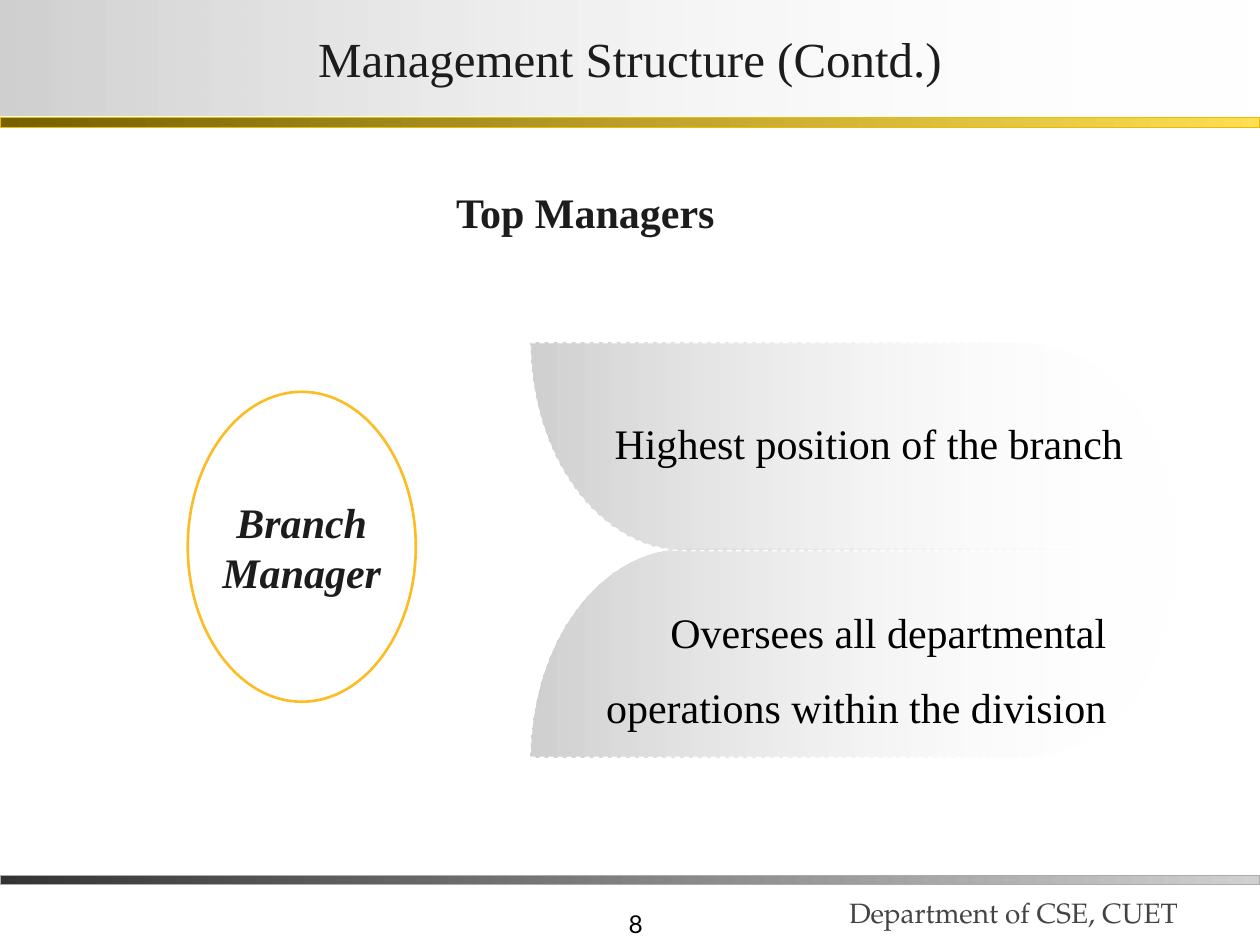
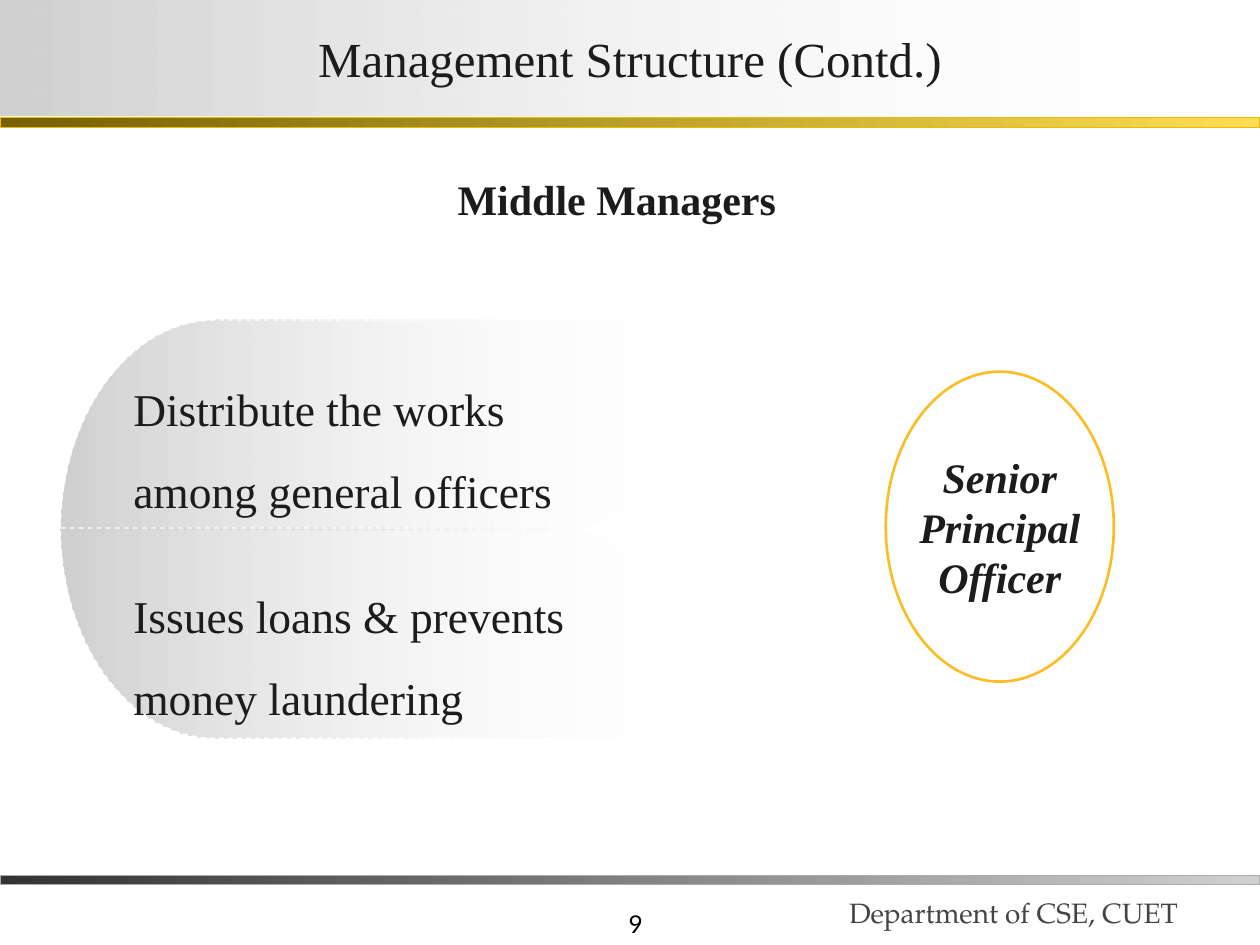
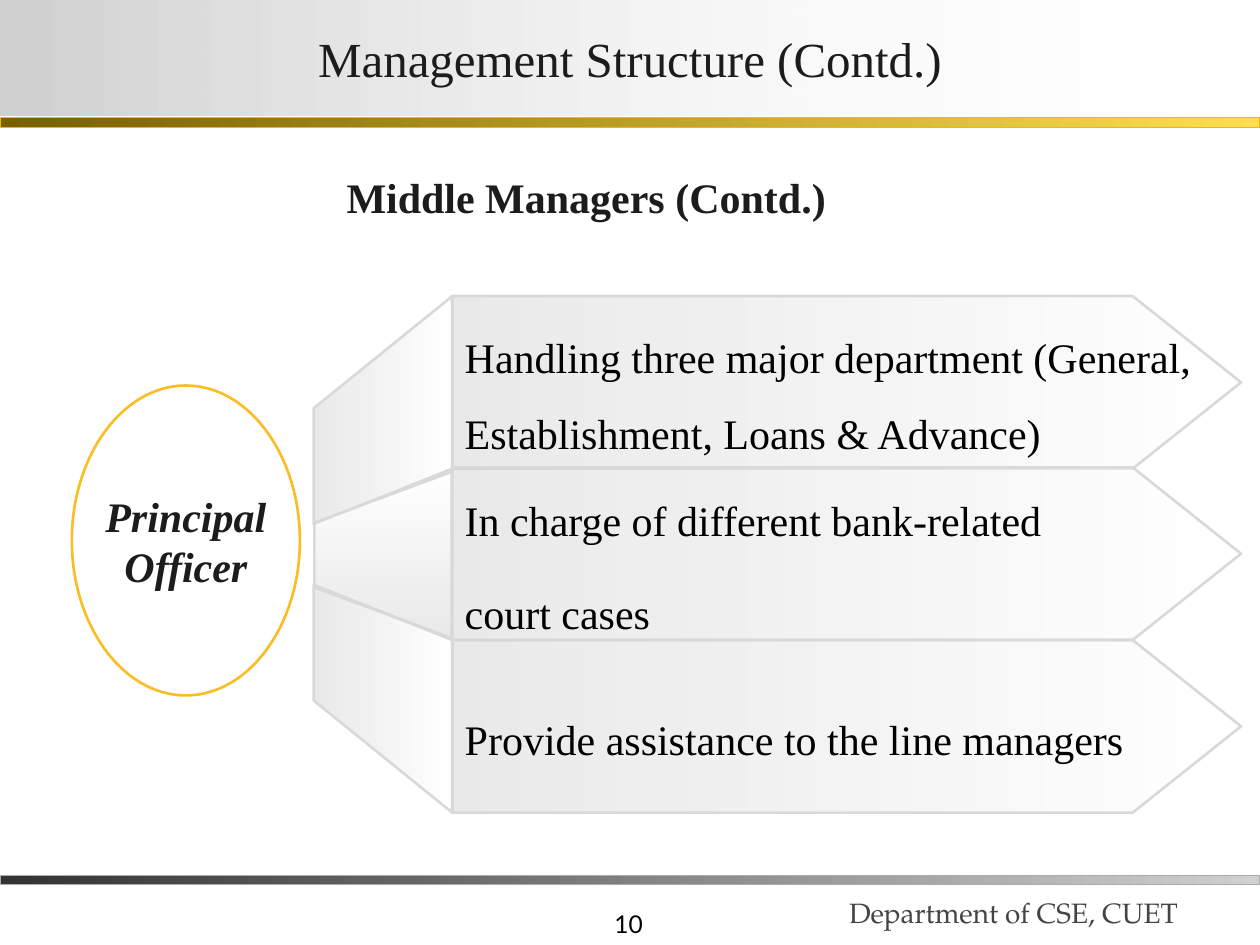
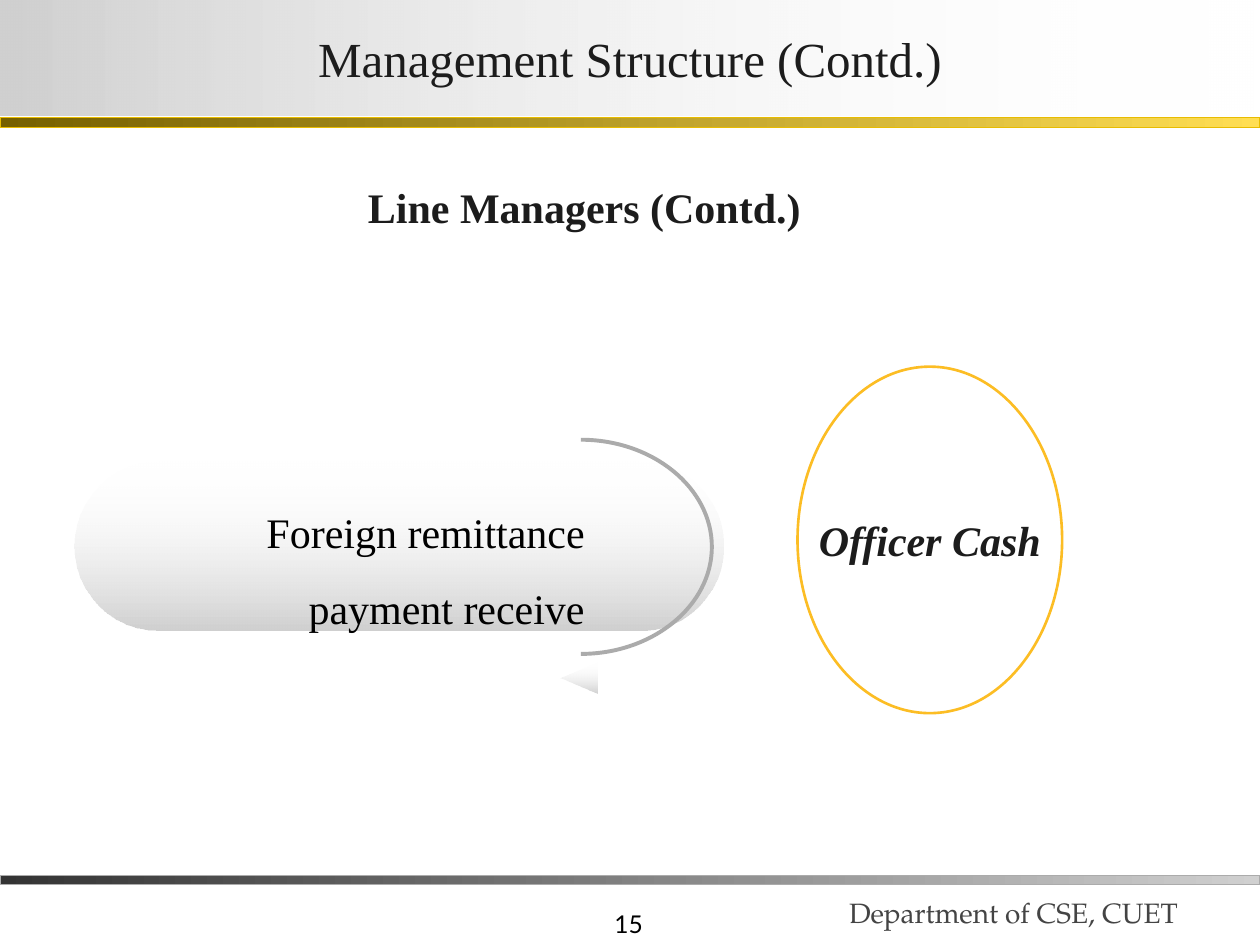
from dataclasses import dataclass, replace
from typing import Any, NamedTuple

from lxml import etree
from pptx import Presentation
from pptx.dml.color import RGBColor
from pptx.enum.dml import MSO_LINE
from pptx.enum.shapes import MSO_SHAPE
from pptx.enum.text import MSO_ANCHOR, PP_ALIGN
from pptx.oxml.ns import qn
from pptx.util import Emu, Pt

PX = 9144  # 100 px to the inch
LEFT, CENTER, RIGHT, JUSTIFY = PP_ALIGN.LEFT, PP_ALIGN.CENTER, PP_ALIGN.RIGHT, PP_ALIGN.JUSTIFY
TOP, MIDDLE, BOTTOM = MSO_ANCHOR.TOP, MSO_ANCHOR.MIDDLE, MSO_ANCHOR.BOTTOM
RECTANGLE, PILL = MSO_SHAPE.RECTANGLE, MSO_SHAPE.ROUNDED_RECTANGLE
TRIANGLE, TRAPEZOID = MSO_SHAPE.ISOSCELES_TRIANGLE, MSO_SHAPE.TRAPEZOID
DASH = MSO_LINE.DASH
TITLE_ONLY = 5
QUARTER = 0.55  # handle length of a quarter ellipse
STRAIGHT, ACROSS, UPRIGHT = "straight", "across", "upright"


class Box(NamedTuple):
    left: int
    top: int
    width: int
    height: int

    @property
    def right(self) -> int:
        return self.left + self.width

    @property
    def bottom(self) -> int:
        return self.top + self.height

    def emu(self) -> list[Emu]:
        return [Emu(value * PX) for value in self]


class Knot(NamedTuple):
    """Corner of an outline; way tells how the segment into it sets off."""
    x: float
    y: float
    way: str = STRAIGHT


class Gradient(NamedTuple):
    start: str
    end: str
    start_alpha: int = 100
    end_alpha: int = 100


class Outline(NamedTuple):
    color: str
    width: float
    dash: Any = None


@dataclass(frozen=True)
class TextStyle:
    size: int
    color: str
    font: str = "Times New Roman"
    bold: bool = False
    italic: bool = False
    align: Any = LEFT
    spacing: float = 1.0
    before: int = 0
    after: int = 0
    anchor: Any = TOP
    insets: tuple[int, int, int, int] = (10, 10, 10, 10)


@dataclass(frozen=True)
class Theme:
    white: str = "FFFFFF"
    ink: str = "1C1C1C"
    fade: Gradient = Gradient("D0D0D0", "FFFFFF", 100, 0)
    veil: Gradient = Gradient("D0D0D0", "FFFFFF", 46, 46)
    gold: Gradient = Gradient("766000", "FFDE53")
    steel: Gradient = Gradient("333333", "D0D0D0")
    gold_edge: Outline = Outline("E8BC00", 0.75)
    steel_edge: Outline = Outline("ABABAB", 0.75)
    role_edge: Outline = Outline("FCBD24", 1.5)
    leaf_edge: Outline = Outline("FFFFFF", 0.75, DASH)
    panel_edge: Outline = Outline("D9D9D9", 1.5)
    arc_edge: Outline = Outline("ABABAB", 2.25)
    title: TextStyle = TextStyle(28, "1C1C1C", align=CENTER, anchor=MIDDLE, insets=(2, 1, 2, 1))
    heading: TextStyle = TextStyle(24, "1C1C1C", bold=True, spacing=1.3, insets=(19, 10, 10, 10))
    role: TextStyle = TextStyle(24, "1C1C1C", bold=True, italic=True, align=CENTER, anchor=MIDDLE)
    duty: TextStyle = TextStyle(24, "000000", spacing=1.5)
    number: TextStyle = TextStyle(14, "000000", "Lato", align=RIGHT, anchor=BOTTOM,
                                  insets=(10, 5, 10, 5))
    footer: TextStyle = TextStyle(16, "444444", "TeX Gyre Pagella", anchor=BOTTOM,
                                  insets=(10, 5, 10, 5))


THEME = Theme()


# Formatting

def assign(target: Any, values: dict[str, Any]) -> None:
    for name, value in values.items():
        setattr(target, name, value)


def paint(shape: Any, fill: Gradient | str | None, outline: Outline | None) -> None:
    if isinstance(fill, Gradient):
        shape.fill.gradient()
        shape.fill.gradient_angle = 0
        for stop, color in zip(shape.fill.gradient_stops, fill[:2]):
            stop.color.rgb = RGBColor.from_string(color)
        colors = shape._element.spPr.find(qn("a:gradFill")).iter(qn("a:srgbClr"))
        for node, alpha in zip(list(colors), fill[2:]):
            if alpha < 100:
                etree.SubElement(node, qn("a:alpha")).set("val", str(alpha * 1000))
    elif fill:
        shape.fill.solid()
        shape.fill.fore_color.rgb = RGBColor.from_string(fill)
    else:
        shape.fill.background()
    if outline:
        shape.line.color.rgb = RGBColor.from_string(outline.color)
        assign(shape.line, {"width": Pt(outline.width), "dash_style": outline.dash})
    else:
        shape.line.fill.background()


def write(shape: Any, style: TextStyle, *lines: str) -> None:
    frame = shape.text_frame
    margins = ("margin_left", "margin_top", "margin_right", "margin_bottom")
    assign(frame, {"word_wrap": True, "vertical_anchor": style.anchor,
                   **{name: Emu(value * PX) for name, value in zip(margins, style.insets)}})
    for index, line in enumerate(lines):
        para = frame.add_paragraph() if index else frame.paragraphs[0]
        # Extra gaps belong between paragraphs only
        assign(para, {"alignment": style.align, "line_spacing": style.spacing,
                      "space_before": Pt(style.before if index else 0),
                      "space_after": Pt(style.after if index else 0)})
        span = para.add_run()
        span.text = line
        assign(span.font, {"name": style.font, "size": Pt(style.size),
                           "bold": style.bold, "italic": style.italic})
        span.font.color.rgb = RGBColor.from_string(style.color)


# Drawing

def add_text(page: Any, box: Box, style: TextStyle, *lines: str) -> Any:
    shape = page.shapes.add_textbox(*box.emu())
    write(shape, style, *lines)
    return shape


def add_preset(page: Any, kind: Any, box: Box, fill: Gradient, outline: Outline | None = None,
               rotation: int = 0, adjust: float | None = None) -> Any:
    shape = page.shapes.add_shape(kind, *box.emu())
    shape.shadow.inherit = False
    shape.rotation = rotation
    if adjust is not None:
        shape.adjustments[0] = adjust
    paint(shape, fill, outline)
    return shape


def bend(shape: Any, knots: list[Knot]) -> None:
    """Turn the marked straight segments into quarter ellipses."""
    points = list(shape._element.iter(qn("a:pt")))
    places = [(int(point.get("x")), int(point.get("y"))) for point in points]
    for index, knot in enumerate(knots):
        if knot.way == STRAIGHT:
            continue
        (x1, y1), (x2, y2) = places[index - 1], places[index]
        reach_x, reach_y = QUARTER * (x2 - x1), QUARTER * (y2 - y1)
        if knot.way == ACROSS:
            handles = [(x1 + reach_x, y1), (x2, y2 - reach_y)]
        else:
            handles = [(x1, y1 + reach_y), (x2 - reach_x, y2)]
        segment = points[index].getparent()
        curve = etree.Element(qn("a:cubicBezTo"))
        for x, y in [*handles, (x2, y2)]:
            etree.SubElement(curve, qn("a:pt"), x=str(round(x)), y=str(round(y)))
        segment.getparent().replace(segment, curve)


def add_outline(page: Any, knots: list[Knot], fill: Gradient | str | None,
                outline: Outline, closed: bool = True) -> Any:
    scaled = [(knot.x * PX, knot.y * PX) for knot in knots]
    builder = page.shapes.build_freeform(*scaled[0])
    builder.add_line_segments(scaled[1:], close=closed)
    shape = builder.convert_to_shape()
    bend(shape, knots)
    shape.shadow.inherit = False
    paint(shape, fill, outline)
    return shape


def add_role(page: Any, box: Box, name: str) -> None:
    middle_x, middle_y = box.left + box.width / 2, box.top + box.height / 2
    ring = [Knot(middle_x, box.top), Knot(box.left, middle_y, ACROSS),
            Knot(middle_x, box.bottom, UPRIGHT), Knot(box.right, middle_y, ACROSS),
            Knot(middle_x, box.top, UPRIGHT)]
    write(add_outline(page, ring, THEME.white, THEME.role_edge), THEME.role, name)


def add_leaf(page: Any, box: Box, flipped: bool) -> None:
    """Panel with two opposite corners rounded; flipped swaps top and bottom."""
    curve = 123
    top, bottom = (box.bottom, box.top) if flipped else (box.top, box.bottom)
    knots = [Knot(box.left, bottom), Knot(box.right - curve, bottom),
             Knot(box.right, top, ACROSS), Knot(box.left + curve, top),
             Knot(box.left, bottom, ACROSS)]
    add_outline(page, knots, THEME.fade, THEME.leaf_edge)


def add_arrow_panel(page: Any, box: Box, style: TextStyle, *lines: str) -> None:
    shoulder = box.right - 86
    knots = [Knot(box.left, box.top), Knot(box.left, box.bottom), Knot(shoulder, box.bottom),
             Knot(box.right, box.top + box.height / 2), Knot(shoulder, box.top)]
    write(add_outline(page, knots, THEME.veil, THEME.panel_edge), style, *lines)


# Shared frame: bands and footer sit on the layout, title and number on each page

def move_frame_to_layout(page: Any) -> None:
    parts = [
        add_text(page, Box(664, 680, 344, 62), THEME.footer, "Department of CSE, CUET"),
        add_preset(page, RECTANGLE, Box(0, 695, 1000, 7), THEME.steel, THEME.steel_edge),
        add_preset(page, RECTANGLE, Box(0, 93, 1000, 8), THEME.gold, THEME.gold_edge),
    ]
    for part in parts:
        page.slide_layout.shapes._spTree.append(part._element)


def add_page(deck: Any, number: int, heading: str, heading_box: Box,
             drop: int = 0, align: Any = LEFT) -> Any:
    page = deck.slides.add_slide(deck.slide_layouts[TITLE_ONLY])
    if len(deck.slides) == 1:
        move_frame_to_layout(page)
    title = page.shapes.title
    assign(title, dict(zip(("left", "top", "width", "height"), Box(0, 0, 1000, 92).emu())))
    paint(title, THEME.fade, None)
    write(title, THEME.title, "Management Structure (Contd.)")
    add_text(page, Box(312, 700, 208, 50), THEME.number, str(number))
    left, top, right, bottom = THEME.heading.insets
    style = replace(THEME.heading, align=align, insets=(left, top + drop, right, bottom))
    add_text(page, heading_box, style, heading)
    return page


# Pages

def add_top_managers(deck: Any) -> None:
    page = add_page(deck, 8, "Top Managers", Box(317, 114, 286, 71), 12, CENTER)
    add_role(page, Box(149, 311, 181, 246), "Branch Manager")
    add_leaf(page, Box(421, 435, 515, 166), False)
    add_leaf(page, Box(421, 272, 515, 165), True)
    add_text(page, Box(464, 321, 451, 61), replace(THEME.duty, align=CENTER, spacing=1.0),
             "Highest position of the branch")
    add_text(page, Box(417, 451, 471, 121), replace(THEME.duty, align=RIGHT),
             "Oversees all departmental operations within the division")


def add_middle_managers(deck: Any) -> None:
    page = add_page(deck, 9, "Middle Managers", Box(308, 113, 354, 64), 3, CENTER)
    add_role(page, Box(703, 295, 181, 246), "Senior Principal Officer")
    add_leaf(page, Box(48, 254, 517, 167), False)
    add_leaf(page, Box(48, 419, 517, 167), True)
    duty = replace(THEME.duty, size=26, color=THEME.ink, insets=(10, 10, 30, 10))
    add_text(page, Box(96, 271, 423, 130), duty, "Distribute the works among general officers")
    add_text(page, Box(96, 435, 427, 130), duty, "Issues loans & prevents money laundering")


def add_principal_officer(deck: Any) -> None:
    page = add_page(deck, 10, "Middle Managers (Contd.)", Box(256, 114, 451, 61))
    add_role(page, Box(57, 306, 181, 246), "Principal Officer")

    # Wings that open from the role towards the panels, mirrored about the middle
    axis = 440
    upper_wing = [Knot(359, 235), Knot(249, 324), Knot(249, 416), Knot(359, 372)]
    lower_wing = [Knot(x, 2 * axis - y) for x, y, _ in upper_wing]
    for wing in (lower_wing, upper_wing):
        add_outline(page, wing, THEME.veil, THEME.panel_edge)

    duty = replace(THEME.duty, anchor=MIDDLE)
    panels = [
        (duty, ("Handling three major department (General, Establishment, Loans & Advance)",)),
        (replace(duty, align=JUSTIFY, before=10, after=10),
         ("In charge of different bank-related", "court cases")),
        (duty, ("Provide assistance to the line managers",)),
    ]
    for row, (style, lines) in enumerate(panels):
        add_arrow_panel(page, Box(359, 235 + row * 273 // 2, 626, 137), style, *lines)
    add_preset(page, TRAPEZOID, Box(238, 386, 132, 109), THEME.veil, THEME.panel_edge, 270, 0.37)


def add_line_managers(deck: Any) -> None:
    page = add_page(deck, 15, "Line Managers (Contd.)", Box(273, 114, 451, 67), 8)
    add_role(page, Box(633, 291, 210, 275), "Officer Cash")
    add_preset(page, PILL, Box(250, 176, 134, 515), THEME.fade, rotation=270, adjust=0.5)
    swing = [Knot(461, 349), Knot(565, 434, ACROSS), Knot(461, 519, UPRIGHT)]
    add_outline(page, swing, None, THEME.arc_edge, closed=False)
    add_preset(page, TRIANGLE, Box(447, 523, 25, 30), THEME.fade, rotation=270)
    add_text(page, Box(186, 372, 288, 121), replace(THEME.duty, align=RIGHT),
             "Foreign remittance payment receive")


def main() -> None:
    deck = Presentation()
    assign(deck, {"slide_width": Emu(1000 * PX), "slide_height": Emu(750 * PX)})
    for add in (add_top_managers, add_middle_managers, add_principal_officer, add_line_managers):
        add(deck)
    deck.save("out.pptx")


if __name__ == "__main__":
    main()
